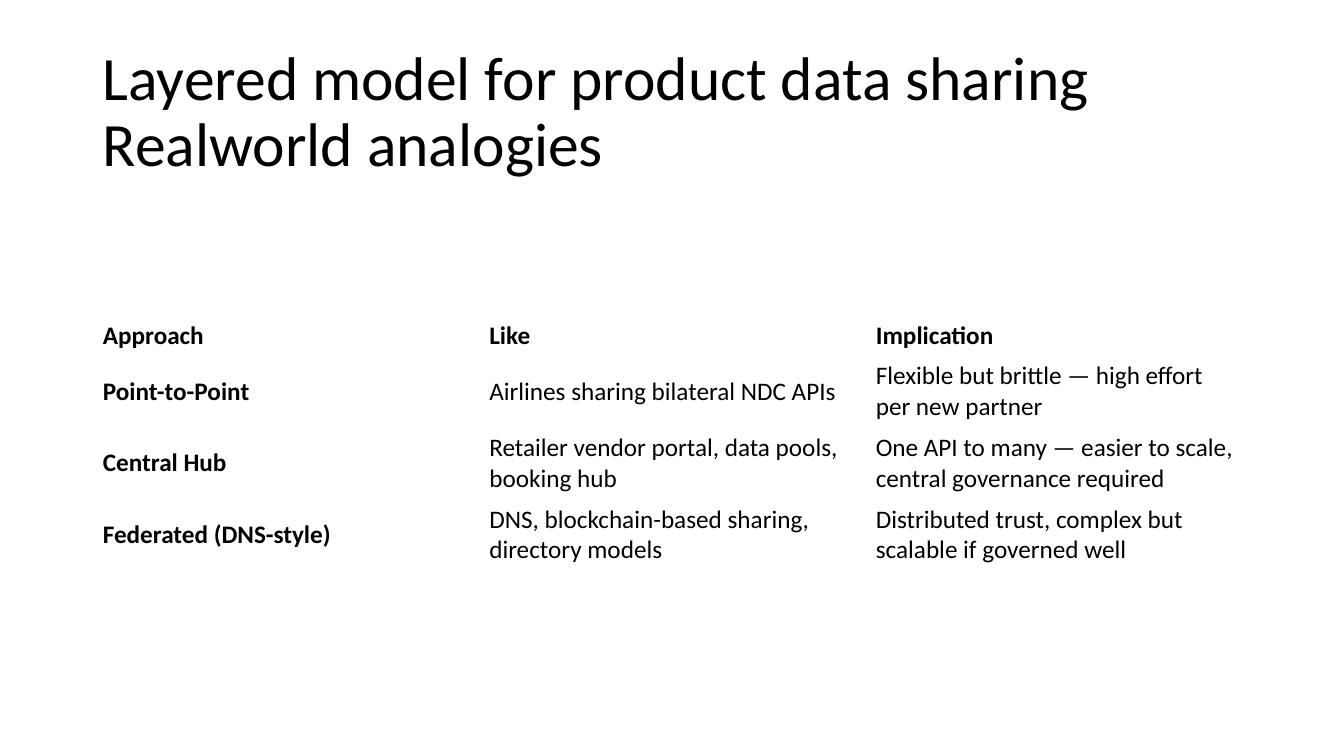
from pptx import Presentation
from pptx.dml.color import RGBColor
from pptx.enum.text import MSO_ANCHOR
from pptx.util import Inches, Pt

TITLE = "Layered model for product data sharing\vRealworld analogies"
ANALOGIES = [
    ("Approach", "Like", "Implication"),
    ("Point-to-Point", "Airlines sharing bilateral NDC APIs",
     "Flexible but brittle — high effort per new partner"),
    ("Central Hub", "Retailer vendor portal, data pools, booking hub",
     "One API to many — easier to scale, central governance required"),
    ("Federated (DNS-style)", "DNS, blockchain-based sharing, directory models",
     "Distributed trust, complex but scalable if governed well"),
]

COLORS = {"text": "000000"}
TITLE_FORMAT = {"name": "Calibri", "size": Pt(44), "bold": False}
CELL_FORMAT = {"name": "Calibri", "size": Pt(18)}

SLIDE_WIDTH, SLIDE_HEIGHT = Inches(13.33), Inches(7.5)
MARGIN = Inches(0.92)
CONTENT_WIDTH = Inches(11.5)
TITLE_TOP, TITLE_HEIGHT = Inches(0.4), Inches(1.45)
TABLE_TOP = Inches(3.13)
HEADER_HEIGHT, ROW_HEIGHT = Inches(0.4), Inches(0.71)


def format_font(font, values):
    for attribute, value in values.items():
        setattr(font, attribute, value)
    font.color.rgb = RGBColor.from_string(COLORS["text"])


def add_title(slide):
    text_box = slide.shapes.add_textbox(MARGIN, TITLE_TOP, CONTENT_WIDTH, TITLE_HEIGHT)
    frame = text_box.text_frame
    frame.word_wrap = True
    frame.vertical_anchor = MSO_ANCHOR.MIDDLE
    paragraph = frame.paragraphs[0]
    paragraph.text = TITLE
    paragraph.line_spacing = 0.9
    for run in paragraph.runs:
        format_font(run.font, TITLE_FORMAT)


def add_analogies_table(slide):
    row_count, column_count = len(ANALOGIES), len(ANALOGIES[0])
    table_height = HEADER_HEIGHT + ROW_HEIGHT * (row_count - 1)
    table = slide.shapes.add_table(row_count, column_count, MARGIN, TABLE_TOP,
                                   CONTENT_WIDTH, table_height).table
    table.first_row = False
    table.horz_banding = False
    for row_index, texts in enumerate(ANALOGIES):
        table.rows[row_index].height = ROW_HEIGHT if row_index else HEADER_HEIGHT
        for column_index, text in enumerate(texts):
            cell = table.cell(row_index, column_index)
            cell.fill.background()
            cell.vertical_anchor = MSO_ANCHOR.MIDDLE
            cell.text = text
            is_heading = row_index == 0 or column_index == 0
            run = cell.text_frame.paragraphs[0].runs[0]
            format_font(run.font, {**CELL_FORMAT, "bold": is_heading})


def main():
    presentation = Presentation()
    presentation.slide_width, presentation.slide_height = SLIDE_WIDTH, SLIDE_HEIGHT
    slide = presentation.slides.add_slide(presentation.slide_layouts[6])
    add_title(slide)
    add_analogies_table(slide)
    presentation.save("out.pptx")


if __name__ == "__main__":
    main()
